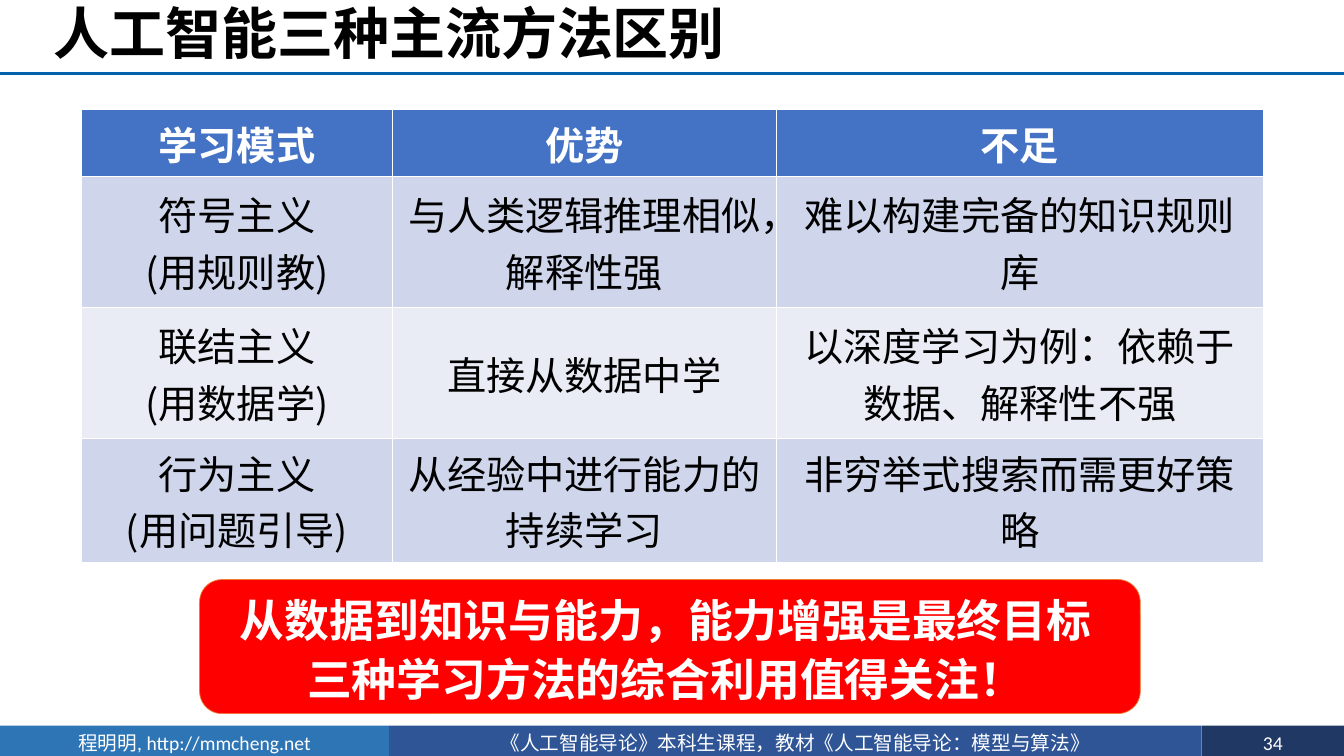
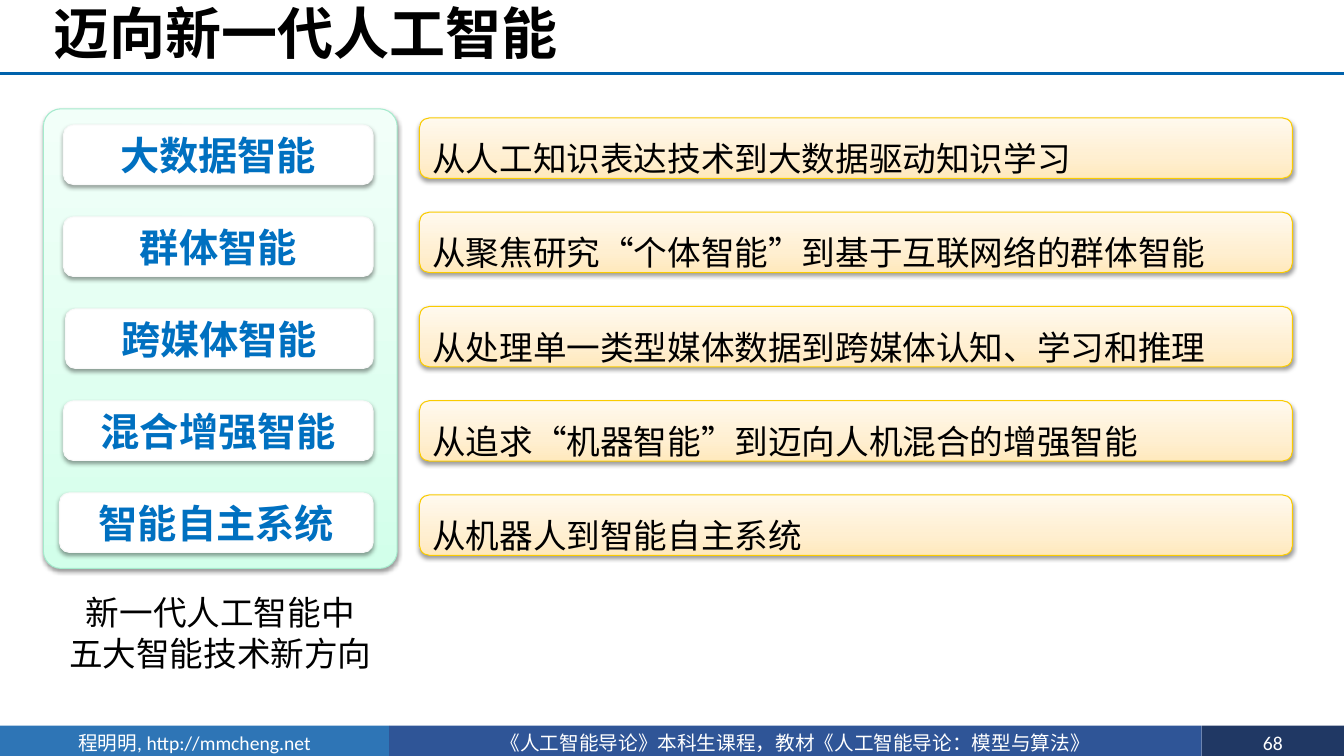
from copy import deepcopy

from lxml import etree
from pptx import Presentation
from pptx.dml.color import RGBColor
from pptx.enum.shapes import MSO_CONNECTOR, MSO_SHAPE
from pptx.enum.text import MSO_ANCHOR, MSO_AUTO_SIZE, PP_ALIGN
from pptx.oxml.ns import qn
from pptx.util import Inches, Pt

WHITE = RGBColor(0xFF, 0xFF, 0xFF)
BLACK = RGBColor(0x00, 0x00, 0x00)
RED = RGBColor(0xFF, 0x00, 0x00)
ORANGE = RGBColor(0xED, 0x7D, 0x31)
RULE_BLUE = RGBColor(0x00, 0x62, 0xAC)
LABEL_BLUE = RGBColor(0x00, 0x70, 0xC0)
LABEL_EDGE = RGBColor(0xF9, 0xF9, 0xF9)
HEADER_BLUE = RGBColor(0x44, 0x72, 0xC4)
ROW_TINTS = [RGBColor(0xE9, 0xEB, 0xF5), RGBColor(0xCF, 0xD5, 0xEA)]
GOLD_EDGE = RGBColor(0xFA, 0xCB, 0x00)
GOLD_STOPS = [(0, RGBColor(0xFF, 0xE9, 0xBD)), (0.35, RGBColor(0xFF, 0xEF, 0xD1)),
              (1, RGBColor(0xFF, 0xF9, 0xEE))]
MINT_EDGE = RGBColor(0xA5, 0xEB, 0xCD)
MINT_STOPS = [(0, RGBColor(0xD2, 0xFF, 0xEA)), (0.35, RGBColor(0xDF, 0xFF, 0xF0)),
              (1, RGBColor(0xF2, 0xFF, 0xF9))]
CJK = "Noto Sans CJK SC"
SERIF = "Times New Roman"

SLIDE_WIDTH = 13.33
FOOTER_BANDS = [
    (0, 3.86, RGBColor(0x2E, 0x75, 0xB6), "程明明, http://mmcheng.net"),
    (3.86, 8.06, RGBColor(0x2F, 0x55, 0x97), "《人工智能导论》本科生课程，教材《人工智能导论：模型与算法》"),
    (11.92, 1.41, RGBColor(0x20, 0x38, 0x64), None),
]

METHODS_TITLE = "人工智能三种主流方法区别"
METHODS = [
    ("学习模式", "优势", "不足"),
    ("符号主义\n(用规则教)", "与人类逻辑推理相似，解释性强", "难以构建完备的知识规则库"),
    ("联结主义\n(用数据学)", "直接从数据中学", "以深度学习为例：依赖于数据、解释性不强"),
    ("行为主义\n(用问题引导)", "从经验中进行能力的持续学习", "非穷举式搜索而需更好策略"),
]
COLUMN_WIDTHS = [3.08, 3.81, 4.83]
ROW_HEIGHTS = [0.66, 1.3, 1.3, 1.21]
CONCLUSION = "从数据到知识与能力，能力增强是最终目标\n三种学习方法的综合利用值得关注！"

DIRECTIONS_TITLE = "迈向新一代人工智能"
DIRECTIONS = [
    (0.63, "大数据智能", "从人工知识表达技术到大数据驱动知识学习"),
    (0.63, "群体智能", "从聚焦研究“个体智能”到基于互联网络的群体智能"),
    (0.65, "跨媒体智能", "从处理单一类型媒体数据到跨媒体认知、学习和推理"),
    (0.63, "混合增强智能", "从追求“机器智能”到迈向人机混合的增强智能"),
    (0.59, "智能自主系统", "从机器人到智能自主系统"),
]
LABEL_TOPS = (1.24, 4.89)
LABEL_RIGHT = 3.7
CHANGE_TOPS = (1.17, 4.91)
DIRECTIONS_CAPTION = "新一代人工智能中\n五大智能技术新方向"


def box(*lengths):
    return [Inches(length) for length in lengths]


def write(frame, text, size, color, font=CJK, bold=False, align=PP_ALIGN.CENTER, spacing=None):
    frame.text = text
    for paragraph in frame.paragraphs:
        paragraph.alignment = align
        if spacing:
            paragraph.line_spacing = spacing
        for run in paragraph.runs:
            run.font.size = Pt(size)
            run.font.bold = bold
            run.font.name = font
            run.font.color.rgb = color
            east_asian = etree.SubElement(run.font._element, qn("a:ea"))
            east_asian.set("typeface", CJK)


def set_margins(frame, left, top, right, bottom):
    frame.margin_left, frame.margin_top, frame.margin_right, frame.margin_bottom = box(
        left, top, right, bottom)


def add_panel(slide, kind, place, fill, edge=None, edge_width=0.75):
    panel = slide.shapes.add_shape(kind, *box(*place))
    panel.shadow.inherit = False
    if isinstance(fill, list):
        fill_gradient(panel, fill)
    else:
        panel.fill.solid()
        panel.fill.fore_color.rgb = fill
    if edge is None:
        panel.line.fill.background()
    else:
        panel.line.color.rgb = edge
        panel.line.width = Pt(edge_width)
    panel.text_frame.word_wrap = True
    panel.text_frame.vertical_anchor = MSO_ANCHOR.MIDDLE
    return panel


def fill_gradient(panel, stops):
    panel.fill.gradient()
    panel.fill.gradient_angle = 90
    stop_list = panel._element.spPr.find(qn("a:gradFill")).find(qn("a:gsLst"))
    stop_list.insert(1, deepcopy(stop_list[0]))
    for stop, (position, color) in zip(panel.fill.gradient_stops, stops):
        stop.position = position
        stop.color.rgb = color


def add_raised(slide, place, fill, edge):
    panel = add_panel(slide, MSO_SHAPE.ROUNDED_RECTANGLE, place, fill, edge)
    effects = panel._element.spPr.find(qn("a:effectLst"))
    shadow = etree.SubElement(effects, qn("a:outerShdw"), blurRad=str(Pt(3.1)),
                              dist=str(Pt(1.6)), dir="5400000", rotWithShape="0")
    shade = etree.SubElement(shadow, qn("a:srgbClr"), val="000000")
    etree.SubElement(shade, qn("a:alpha"), val="38000")
    set_margins(panel.text_frame, 0.1, 0, 0.1, 0)
    return panel


def add_bullet(paragraph):
    properties = paragraph._p.get_or_add_pPr()
    properties.set("marL", "0")
    properties.set("indent", str(Inches(-0.48)))
    bullet_color = etree.SubElement(properties, qn("a:buClr"))
    etree.SubElement(bullet_color, qn("a:srgbClr"), val=str(RED))
    etree.SubElement(properties, qn("a:buFont"), typeface="Arial")
    etree.SubElement(properties, qn("a:buChar"), char="■")


def add_slide(deck, title, title_font, number):
    slide = deck.slides.add_slide(deck.slide_layouts[5])
    for left, width, color, text in FOOTER_BANDS:
        band = add_panel(slide, MSO_SHAPE.RECTANGLE, (left, 7.2, width, 0.34), color)
        set_margins(band.text_frame, 0.1, 0, 0.1, 0)
        write(band.text_frame, text or str(number), 14, WHITE, "Calibri")
    rule = slide.shapes.add_connector(MSO_CONNECTOR.STRAIGHT, *box(0, 0.73, SLIDE_WIDTH, 0.73))
    rule.line.color.rgb = RULE_BLUE
    rule.line.width = Pt(2)
    etree.SubElement(rule._element.spPr, qn("a:effectLst"))
    heading = slide.shapes.title
    heading.left, heading.top, heading.width, heading.height = box(0.43, 0, 12.9, 0.73)
    frame = heading.text_frame
    write(frame, title, 40, BLACK, title_font, True, PP_ALIGN.LEFT, 0.9)
    frame.auto_size = MSO_AUTO_SIZE.NONE
    frame.vertical_anchor = MSO_ANCHOR.MIDDLE
    return slide


def build_methods(deck):
    slide = add_slide(deck, METHODS_TITLE, SERIF, 34)
    table = slide.shapes.add_table(
        len(METHODS), len(COLUMN_WIDTHS),
        *box(0.81, 1.09, sum(COLUMN_WIDTHS), sum(ROW_HEIGHTS))).table
    for column, width in zip(table.columns, COLUMN_WIDTHS):
        column.width = Inches(width)
    for r, (texts, height) in enumerate(zip(METHODS, ROW_HEIGHTS)):
        table.rows[r].height = Inches(height)
        header = r == 0
        for c, text in enumerate(texts):
            cell = table.cell(r, c)
            cell.vertical_anchor = MSO_ANCHOR.MIDDLE
            cell.fill.solid()
            cell.fill.fore_color.rgb = HEADER_BLUE if header else ROW_TINTS[r % 2]
            write(cell.text_frame, text, 28, WHITE if header else BLACK,
                  "Arial" if header else CJK, header)
    conclusion = add_panel(slide, MSO_SHAPE.ROUNDED_RECTANGLE, (1.98, 5.75, 9.33, 1.33),
                           RED, ORANGE, 0.5)
    set_margins(conclusion.text_frame, 0.02, 0.05, 0.1, 0.05)
    write(conclusion.text_frame, CONCLUSION, 32, WHITE, bold=True, spacing=1.1)


def spread(ends, index):
    first, last = ends
    return first + (last - first) * index / (len(DIRECTIONS) - 1)


def build_directions(deck):
    slide = add_slide(deck, DIRECTIONS_TITLE, "Calibri", 68)
    backdrop = add_raised(slide, (0.43, 1.08, 3.51, 4.56), MINT_STOPS, MINT_EDGE)
    backdrop.adjustments[0] = 0.05
    for i, (left, name, change) in enumerate(DIRECTIONS):
        label = add_raised(slide, (left, spread(LABEL_TOPS, i), LABEL_RIGHT - left, 0.59),
                           WHITE, LABEL_EDGE)
        write(label.text_frame, name, 28, LABEL_BLUE, SERIF, True)
        bar = add_raised(slide, (4.16, spread(CHANGE_TOPS, i), 8.66, 0.6),
                         GOLD_STOPS, GOLD_EDGE)
        add_bullet(bar.text_frame.paragraphs[0])
        write(bar.text_frame, change, 24, BLACK, align=PP_ALIGN.LEFT, spacing=1.5)
    caption = slide.shapes.add_textbox(*box(0.43, 5.82, 3.51, 0.91)).text_frame
    caption.word_wrap = True
    write(caption, DIRECTIONS_CAPTION, 24, BLACK, spacing=Pt(29))


def main():
    deck = Presentation()
    deck.slide_width, deck.slide_height = box(SLIDE_WIDTH, 7.5)
    build_methods(deck)
    build_directions(deck)
    deck.save("out.pptx")


if __name__ == "__main__":
    main()
